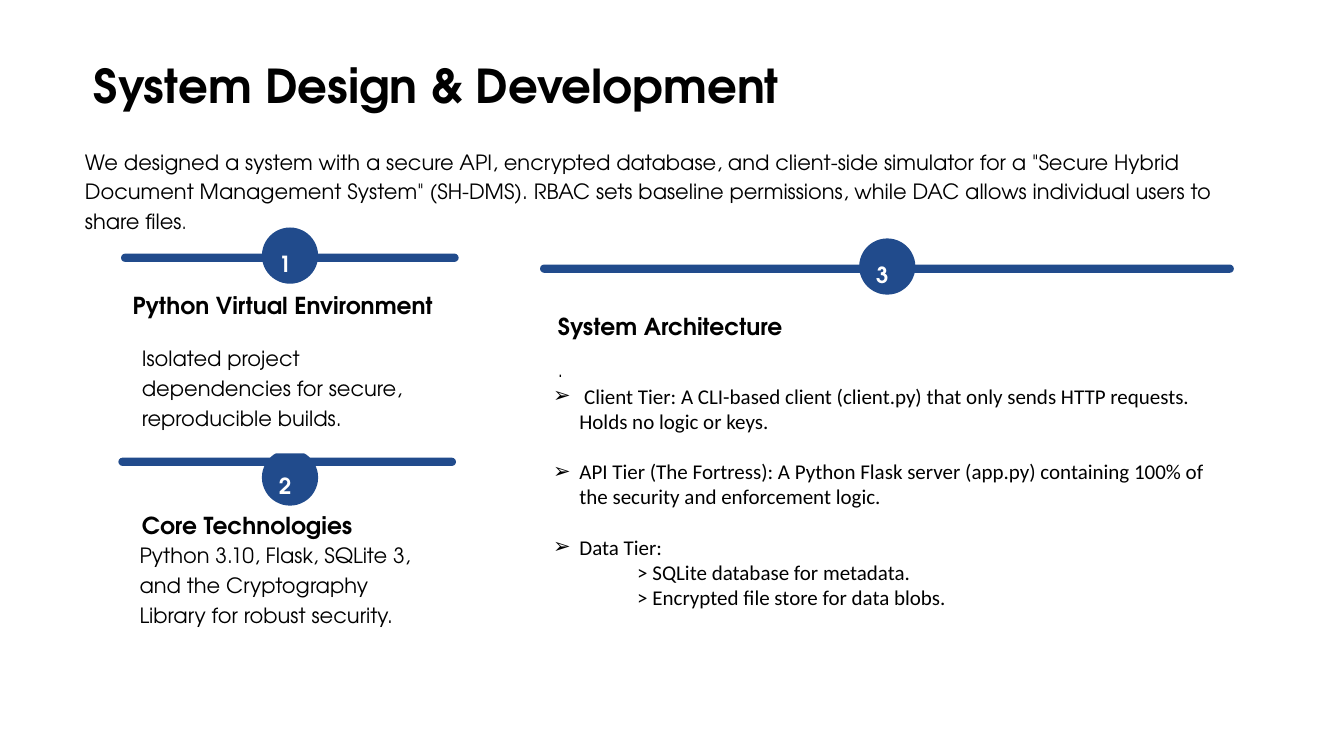
from lxml import etree
from pptx import Presentation
from pptx import util as u
from pptx.dml.color import RGBColor
from pptx.enum import shapes, text
from pptx.oxml import ns

BLUE = RGBColor(0x21, 0x4B, 0x8C)
WHITE = RGBColor(0xFF, 0xFF, 0xFF)
BLACK = RGBColor(0x00, 0x00, 0x00)
DISPLAY_FONT = "TeX Gyre Adventor"
LIST_FONT = "Calibri"

TITLE = {"size": u.Pt(40), "bold": True}
HEADING = {"size": u.Pt(20), "bold": True}
NUMBER = {"size": u.Pt(19), "bold": True}
BODY = {"size": u.Pt(18), "bold": False}
SMALL = {"size": u.Pt(16), "bold": False}

presentation = Presentation()
presentation.slide_width = u.Cm(40.64)
presentation.slide_height = u.Cm(22.86)
slide = presentation.slides.add_slide(presentation.slide_layouts[6])


def add_text(box, runs, leading, wrap=False, color=BLACK):
    frame = slide.shapes.add_textbox(*map(u.Cm, box)).text_frame
    frame.word_wrap = wrap
    for side in ("left", "top", "right", "bottom"):
        setattr(frame, f"margin_{side}", 0)
    paragraph = frame.paragraphs[0]
    paragraph.line_spacing = u.Pt(leading)
    for words, style in runs:
        run = paragraph.add_run()
        run.text = words
        run.font.color.rgb = color
        for name, value in {"name": DISPLAY_FONT, **style}.items():
            setattr(run.font, name, value)


def add_rounded(box, color, roundness):
    shape = slide.shapes.add_shape(
        shapes.MSO_SHAPE.ROUNDED_RECTANGLE, *map(u.Cm, box))
    shape.adjustments[0] = roundness
    shape.shadow.inherit = False
    shape.fill.solid()
    shape.fill.fore_color.rgb = color
    shape.line.fill.background()


add_text((2.84, 1.65, 22, 1.78), [("System Design & Development", TITLE)], 50)
add_text(
    (2.57, 4.37, 34.29, 2.72),
    [('We designed a system with a secure API, encrypted database, and '
      'client-side simulator for a "Secure Hybrid Document Management System" '
      '(SH-DMS). RBAC sets baseline permissions, while DAC allows individual '
      'users to share files', BODY), (".", SMALL)],
    25.5, wrap=True)

sections = [
    {"number": "2", "card": (3.58, 14.22, 10.21, 5.99), "bar": (3.58, 13.84),
     "circle": (7.92, 13.59),
     "heading": ("Core Technologies", (4.29, 15.42, 7.09, 0.89), False),
     "body": ("Python 3.10, Flask, SQLite 3, and the Cryptography Library "
              "for robust security.", (4.22, 16.28, 8.94, 2.72), BODY, True)},
    {"number": "1", "card": (3.66, 7.72, 10.21, 5.99), "bar": (3.66, 7.67),
     "circle": (7.92, 6.88),
     "heading": ("Python Virtual Environment", (4.01, 8.76, 9.4, 1.78), True),
     "body": ("Isolated project dependencies for secure, reproducible builds.",
              (4.29, 10.31, 8.94, 1.8), BODY, True)},
    {"number": "3", "card": (16.23, 8, 20.98, 4.19), "bar": (16.33, 8),
     "circle": (25.98, 7.21),
     "heading": ("System Architecture", (16.87, 9.41, 7.09, 0.89), False),
     "body": (".", (16.87, 10.64, 19.74, 0.91), SMALL, False)},
]
for section in sections:
    add_rounded(section["card"], WHITE, 0.06)
    add_rounded((*section["bar"], section["card"][2], 0.25), BLUE, 0.5)
    left, top = section["circle"]
    add_rounded((left, top, 1.7, 1.7), BLUE, 0.5)
    add_text((left + 0.51, top + 0.43, 0.69, 0.84),
             [(section["number"], NUMBER)], 30.5, color=WHITE)
    heading, box, wrap = section["heading"]
    add_text(box, [(heading, HEADING)], 25, wrap)
    body, box, style, wrap = section["body"]
    add_text(box, [(body, style)], 25.5, wrap)

tiers = [
    (" Client Tier: A CLI-based client (client.py) that only sends HTTP "
     "requests. Holds no logic or keys.", True, 0),
    ("API Tier (The Fortress): A Python Flask server (app.py) containing 100% "
     "of the security and enforcement logic.", True, 21.5),
    ("Data Tier:", True, 21.5),
    ("> SQLite database for metadata.", False, 0),
    ("> Encrypted file store for data blobs.", False, 0),
]
frame = slide.shapes.add_textbox(
    *map(u.Cm, (16.48, 11.46, 20.32, 7.19))).text_frame
frame.word_wrap = True
frame.vertical_anchor = text.MSO_ANCHOR.TOP
for index, (words, bulleted, gap) in enumerate(tiers):
    paragraph = frame.add_paragraph() if index else frame.paragraphs[0]
    paragraph.space_before = u.Pt(gap)
    run = paragraph.add_run()
    run.text = words
    run.font.color.rgb = BLACK
    for name, value in {"name": LIST_FONT, "size": u.Pt(18)}.items():
        setattr(run.font, name, value)
    properties = paragraph._p.get_or_add_pPr()
    properties.set("marL", str(u.Cm(0.79 if bulleted else 2.54)))
    if bulleted:
        properties.set("indent", str(u.Cm(-0.79)))
        for tag, name, value in (("a:buFont", "typeface", LIST_FONT),
                                 ("a:buChar", "char", "➢")):
            etree.SubElement(properties, ns.qn(tag)).set(name, value)

presentation.save("out.pptx")
